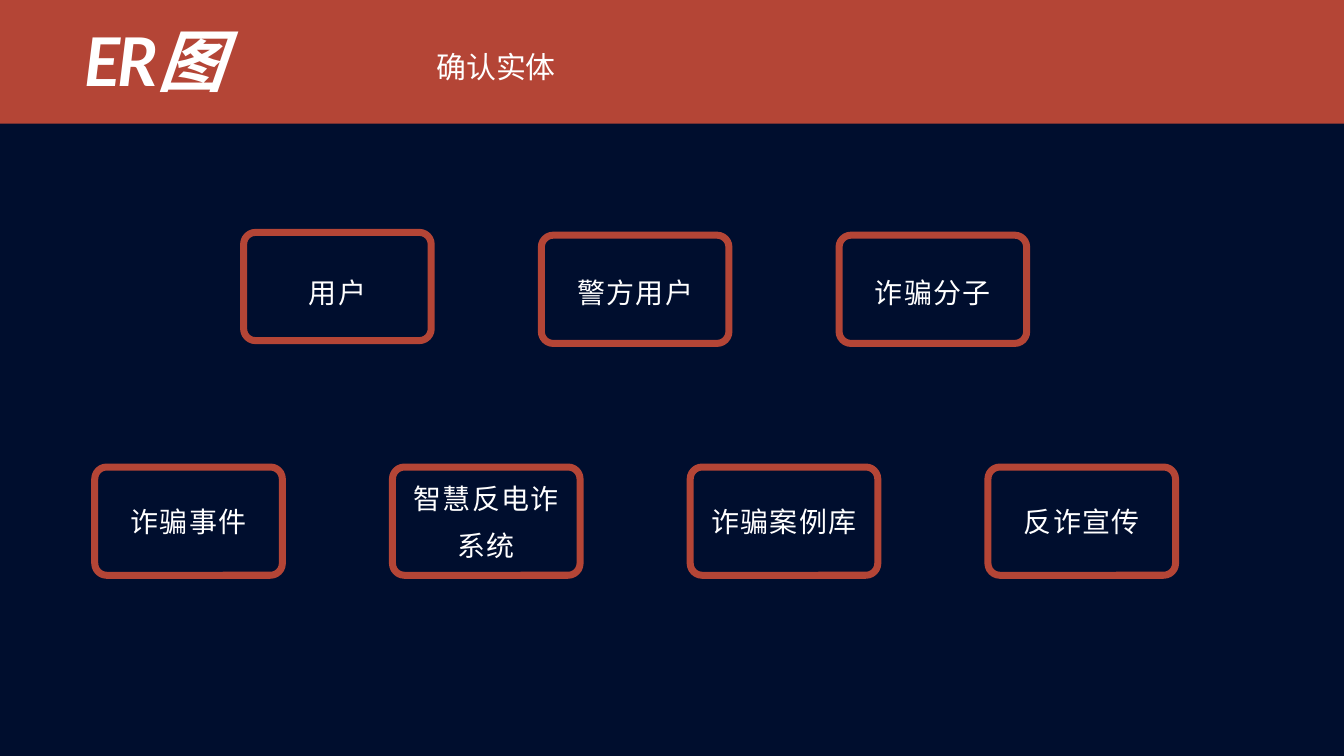
import pptx
import pptx.util
import pptx.dml.color
import pptx.enum.shapes
import pptx.enum.text

Pt = pptx.util.Pt
RGBColor = pptx.dml.color.RGBColor
MSO_SHAPE = pptx.enum.shapes.MSO_SHAPE
PP_ALIGN = pptx.enum.text.PP_ALIGN
MSO_ANCHOR = pptx.enum.text.MSO_ANCHOR

NAVY = RGBColor(0x00, 0x0E, 0x2E)
RED = RGBColor(0xB4, 0x45, 0x36)
WHITE = RGBColor(0xFF, 0xFF, 0xFF)
CJK_FONT = "Noto Sans CJK SC"

deck = pptx.Presentation()
deck.slide_width, deck.slide_height = Pt(1440), Pt(810)
slide = deck.slides.add_slide(deck.slide_layouts[6])
slide.background.fill.solid()
slide.background.fill.fore_color.rgb = NAVY


def add_text(text, left, top, width, height, size, leading, font=CJK_FONT,
             spacing=0, inset=0, align=PP_ALIGN.LEFT, anchor=MSO_ANCHOR.TOP,
             bold=False, italic=False):
    frame = slide.shapes.add_textbox(Pt(left), Pt(top), Pt(width), Pt(height)).text_frame
    frame.word_wrap = True
    frame.vertical_anchor = anchor
    frame.margin_left = frame.margin_right = Pt(inset)
    frame.margin_top = frame.margin_bottom = Pt(inset)
    frame.text = text
    for paragraph in frame.paragraphs:
        paragraph.alignment = align
        paragraph.line_spacing = Pt(leading)
        for run in paragraph.runs:
            run.font.name = font
            run.font.size = Pt(size)
            run.font.bold = bold
            run.font.italic = italic
            run.font.color.rgb = WHITE
            # Letter spacing, in hundredths of a point
            run._r.get_or_add_rPr().set("spc", str(round(spacing * 100)))


# Entities: name, left of the row, column, top of the box, top of the text
BOX_WIDTH, BOX_HEIGHT, STEP = 201, 116, 319
upper_left, lower_left = 261, 101.5
entities = [
    ("用户", upper_left, 0, 249, 219),
    ("警方用户", upper_left, 1, 252, 219),
    ("诈骗分子", upper_left, 2, 252, 219),
    ("诈骗事件", lower_left, 0, 500.4, 465),
    ("智慧反电诈\n系统", lower_left, 1, 500.4, 465),
    ("诈骗案例库", lower_left, 2, 500.4, 465),
    ("反诈宣传", lower_left, 3, 500.4, 465),
]
for name, row_left, column, box_top, text_top in entities:
    left = row_left + column * STEP
    entity = slide.shapes.add_shape(MSO_SHAPE.ROUNDED_RECTANGLE, Pt(left), Pt(box_top),
                                    Pt(BOX_WIDTH), Pt(BOX_HEIGHT))
    entity.adjustments[0] = 0.11
    entity.shadow.inherit = False
    entity.fill.background()
    entity.line.color.rgb = RED
    entity.line.width = Pt(7.5)
    add_text(name, left, text_top, BOX_WIDTH, 173.5, 30, 50.1, spacing=1.5, inset=4,
             align=PP_ALIGN.CENTER, anchor=MSO_ANCHOR.MIDDLE)

# Header band, bleeding over the slide edges
band = slide.shapes.add_shape(MSO_SHAPE.RECTANGLE, Pt(-48), Pt(-16.5), Pt(1498.5), Pt(149))
band.shadow.inherit = False
band.fill.solid()
band.fill.fore_color.rgb = RED
band.line.fill.background()

# Title and subtitle
add_text("ER图", 91, 35.5, 1199, 75.5, 72, 72, font="Lato", spacing=-3.6,
         bold=True, italic=True)
add_text("确认实体", 467.5, 45.5, 140, 43, 32, 44.8)

deck.save("out.pptx")
